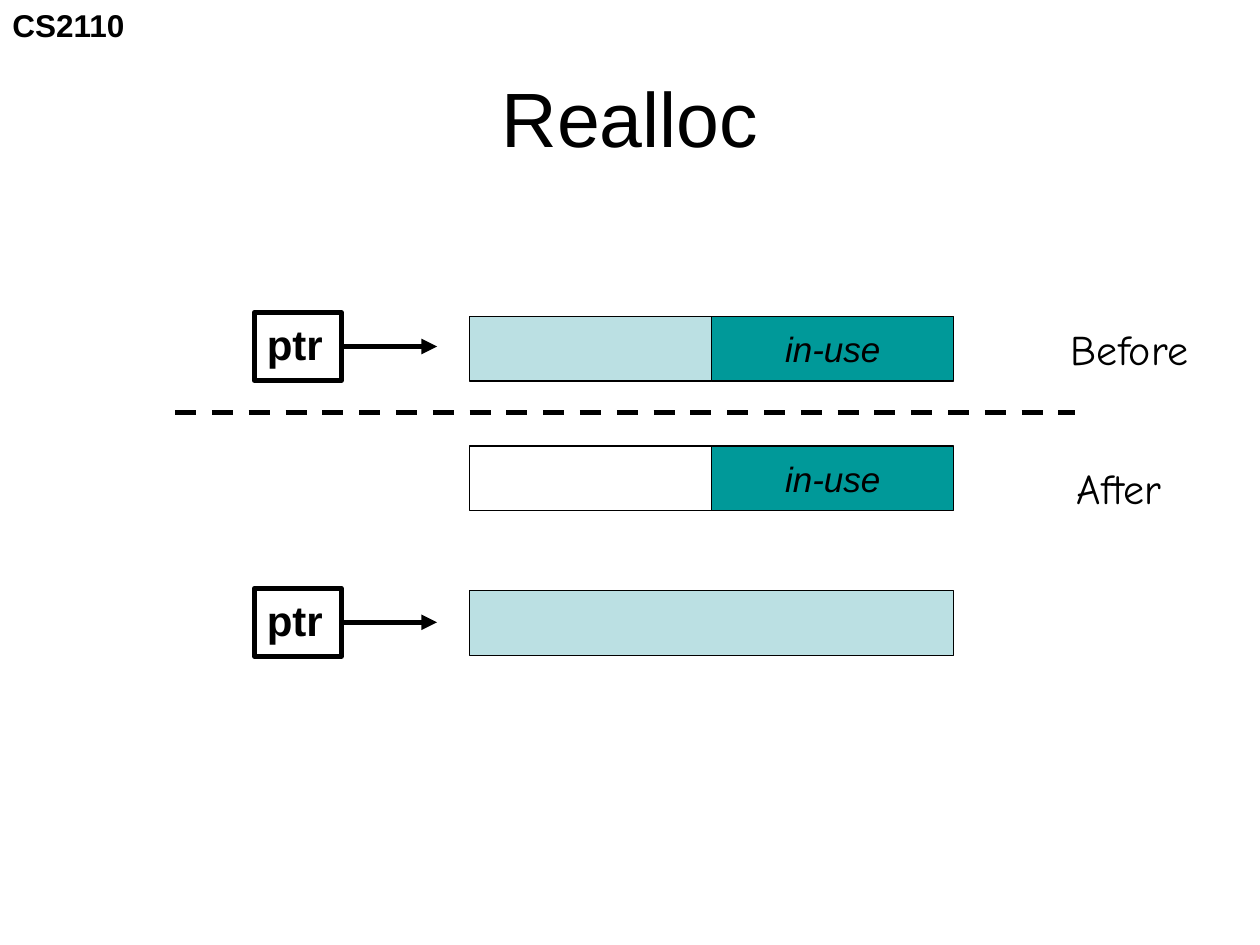
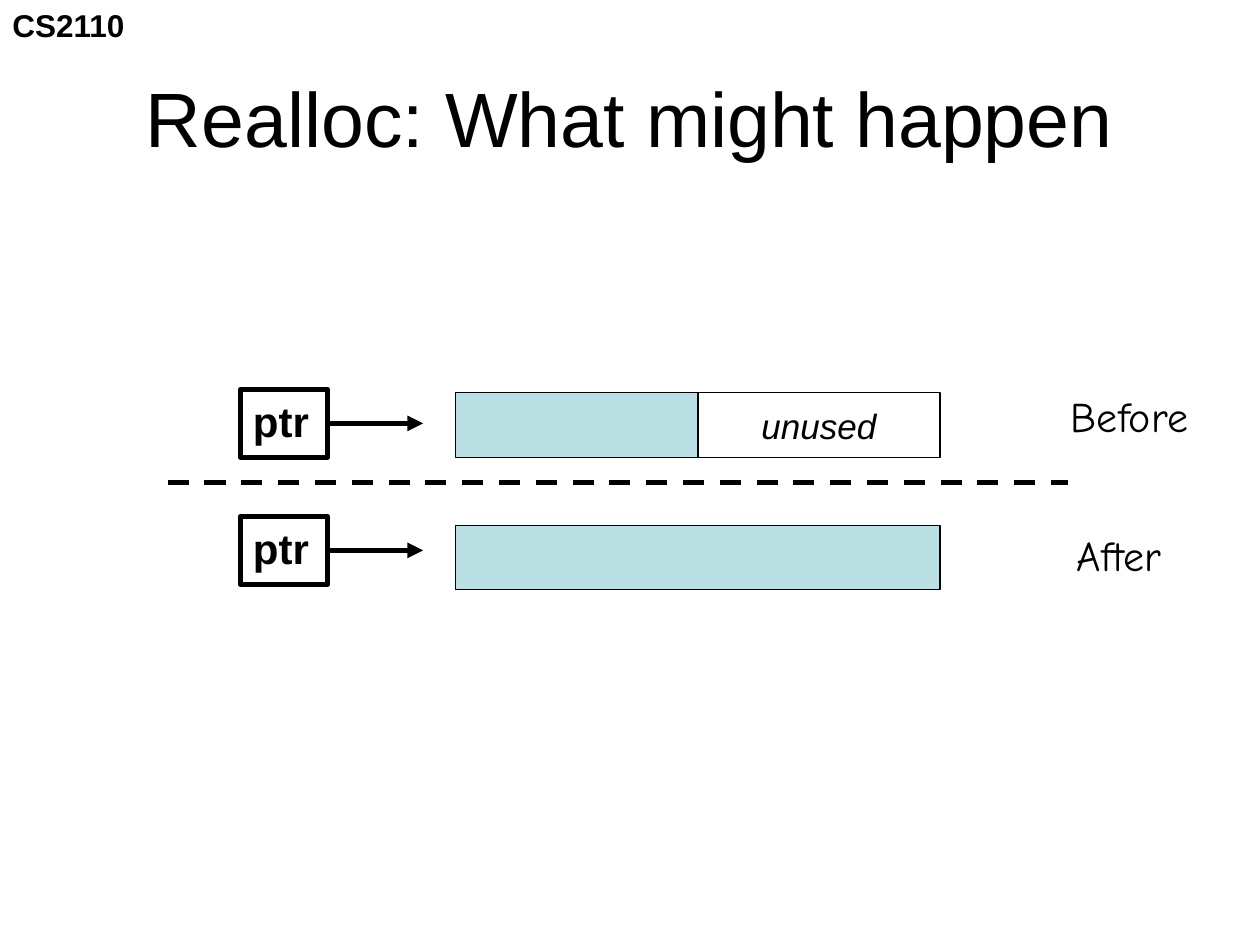
from lxml.etree import SubElement
from pptx import Presentation
from pptx.dml.color import RGBColor
from pptx.enum.dml import MSO_LINE
from pptx.enum.shapes import MSO_CONNECTOR, MSO_SHAPE
from pptx.enum.text import MSO_ANCHOR, PP_ALIGN
from pptx.oxml.ns import qn
from pptx.util import Cm, Pt

COLORS = {"ink": "000000", "block": "BBE0E3", "in-use": "009999"}
INK = RGBColor.from_string(COLORS["ink"])

# Lengths in cm
HALF_W, BAR_H = 4.88, 1.3
PTR_W, PTR_H = 1.75, 1.37
ARROW_LEN, DIVIDER_LEN = 1.93, 18.14
BAR_OFFSET = 4.34  # from the left edge of ptr to the left edge of the bars

# Bars: top, then (colour, text, width in halves) for each cell
SLIDES = [
    {
        "title": "Realloc",
        "ptr_x": 5.13,
        "ptr_tops": [6.3, 11.86],
        "bars": [
            (6.38, [("block", "", 1), ("in-use", "in-use", 1)]),
            (8.99, [(None, "", 1), ("in-use", "in-use", 1)]),
            (11.91, [("block", "", 2)]),
        ],
        "divider": (3.53, 8.31),
        "label_tops": (6.4, 9.19),
    },
    {
        "title": "Realloc: What might happen",
        "ptr_x": 4.85,
        "ptr_tops": [7.85, 10.41],
        "bars": [
            (7.92, [("block", "", 1), (None, "unused", 1)]),
            (10.59, [("block", "", 2)]),
        ],
        "divider": (3.38, 9.73),
        "label_tops": (7.75, 10.54),
    },
]


def add_box(s, x, y, w, h, text="", size=24, font="Arial", bold=False, italic=False,
            centred=False, wrap=False, line=None, fill=None):
    """Add a rectangle if a line width is given, otherwise a text box."""
    box = (Cm(x), Cm(y), Cm(w), Cm(h))
    if line:
        sp = s.shapes.add_shape(MSO_SHAPE.RECTANGLE, *box)
        sp.shadow.inherit = False
        sp.line.color.rgb = INK
        sp.line.width = Pt(line)
        if fill:
            sp.fill.solid()
            sp.fill.fore_color.rgb = RGBColor.from_string(COLORS[fill])
        else:
            sp.fill.background()
    else:
        sp = s.shapes.add_textbox(*box)
    if text:
        tf = sp.text_frame
        tf.text = text
        tf.word_wrap = wrap
        tf.vertical_anchor = MSO_ANCHOR.MIDDLE if centred else MSO_ANCHOR.TOP
        p = tf.paragraphs[0]
        p.alignment = PP_ALIGN.CENTER if centred else PP_ALIGN.LEFT
        f = p.runs[0].font
        f.name, f.size, f.bold, f.italic = font, Pt(size), bold, italic
        f.color.rgb = INK


def add_rule(s, x, y, length, arrow=False):
    """Add a thick horizontal line: an arrow to the right, or a dashed divider."""
    c = s.shapes.add_connector(MSO_CONNECTOR.STRAIGHT, Cm(x), Cm(y), Cm(x + length), Cm(y))
    c.line.color.rgb = INK
    c.line.width = Pt(3)
    spPr = c.element.spPr
    if arrow:
        SubElement(spPr.find(qn("a:ln")), qn("a:tailEnd"), type="triangle")
    else:
        c.line.dash_style = MSO_LINE.DASH
    SubElement(spPr, qn("a:effectLst"))


prs = Presentation()
prs.slide_width, prs.slide_height = Cm(25.4), Cm(19.05)

for d in SLIDES:
    s = prs.slides.add_slide(prs.slide_layouts[6])
    add_box(s, 0, 0, 2.8, 1.02, "CS2110", size=18, bold=True)
    add_box(s, 1.27, 0.76, 22.86, 3.18, d["title"], size=44, centred=True, wrap=True)

    for top, cells in d["bars"]:
        x = d["ptr_x"] + BAR_OFFSET
        for fill, text, halves in cells:
            w = halves * HALF_W
            add_box(s, x, top, w, BAR_H, text, size=20, italic=True, centred=True,
                    line=0.75, fill=fill)
            x += w

    for top in d["ptr_tops"]:
        add_box(s, d["ptr_x"], top, PTR_W, PTR_H, "ptr", bold=True, line=3)
        add_rule(s, d["ptr_x"] + PTR_W, top + PTR_H / 2, ARROW_LEN, arrow=True)

    add_rule(s, *d["divider"], DIVIDER_LEN)
    before_y, after_y = d["label_tops"]
    add_box(s, 21.34, before_y, 3.25, 1.27, "Before", font="Comic Neue")
    add_box(s, 21.46, after_y, 2.82, 1.27, "After", font="Comic Neue")

prs.save("out.pptx")
